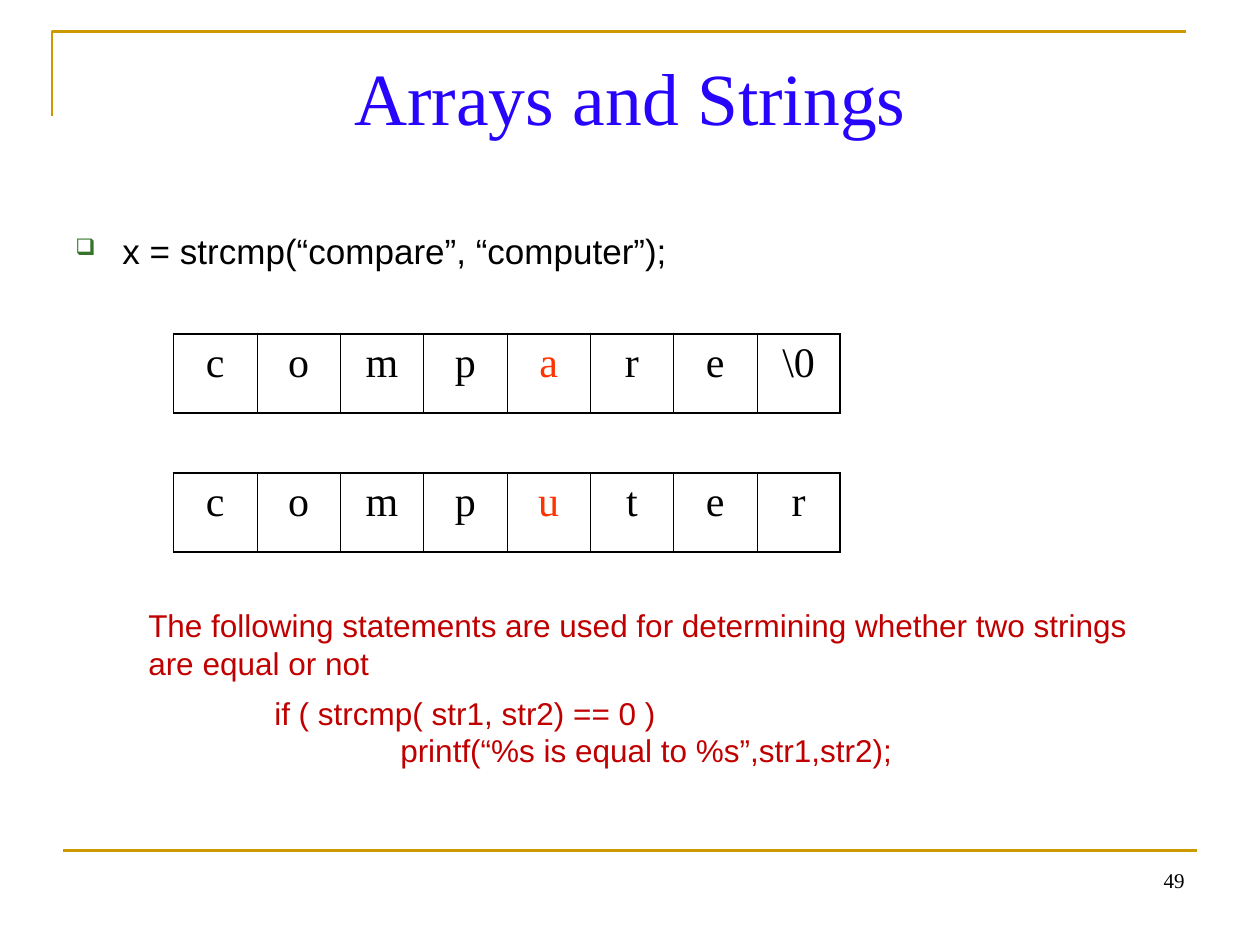
from lxml.etree import SubElement
from pptx import Presentation
from pptx.dml.color import RGBColor
from pptx.enum.shapes import MSO_CONNECTOR
from pptx.enum.text import PP_ALIGN
from pptx.oxml import parse_xml
from pptx.oxml.ns import nsdecls, qn
from pptx.util import Cm, Pt

GOLD, BLACK, RED, BRIGHT_RED = "CC9900", "000000", "C00000", "FF3300"
SERIF, SANS = "Times New Roman", "Arial"
CELL_WIDTH, CELL_HEIGHT = 1.68, 1.6
DIFFERING_CELL = 4
TAB_STEP, TAB_COUNT = 2.54, 8


def color(hex_string):
    return RGBColor.from_string(hex_string)


def set_format(target, values):
    for name, value in values.items():
        setattr(target, name, value)


def format_font(paragraph, name, size, hex_string):
    set_format(paragraph.font, {"name": name, "size": Pt(size)})
    paragraph.font.color.rgb = color(hex_string)


def style_rule(rule):
    rule.line.color.rgb = color(GOLD)
    rule.line.width = Pt(1.5)


def add_corner_rule(slide, left, top, right, bottom):
    builder = slide.shapes.build_freeform(Cm(left), Cm(bottom))
    builder.add_line_segments(
        [(Cm(left), Cm(top)), (Cm(right), Cm(top))], close=False)
    corner = builder.convert_to_shape()
    corner.fill.background()
    corner.shadow.inherit = False
    style_rule(corner)


def add_bottom_rule(slide, left, right, y):
    rule = slide.shapes.add_connector(
        MSO_CONNECTOR.STRAIGHT, Cm(left), Cm(y), Cm(right), Cm(y))
    style_rule(rule)
    SubElement(rule._element.spPr, qn("a:effectLst"))


def add_text(slide, box, lines, font, align=PP_ALIGN.LEFT, gap=0, margin_top=0.13):
    """Add a text box, with gap points between its paragraphs."""
    frame = slide.shapes.add_textbox(*map(Cm, box)).text_frame
    set_format(frame, {"word_wrap": True, "margin_top": Cm(margin_top)})
    for index, line in enumerate(lines):
        paragraph = frame.add_paragraph() if index else frame.paragraphs[0]
        set_format(paragraph, {"text": line, "alignment": align})
        if index:
            paragraph.space_before = Pt(gap)
        if "\t" in line:
            add_tabs(paragraph)
        format_font(paragraph, *font)
    return frame


def add_tabs(paragraph):
    tabs = SubElement(paragraph._p.get_or_add_pPr(), qn("a:tabLst"))
    for step in range(1, TAB_COUNT + 1):
        SubElement(tabs, qn("a:tab"), pos=str(Cm(step * TAB_STEP)), algn="l")


def add_bullet(paragraph, symbol, hex_string, percent, indent):
    properties = paragraph._p.get_or_add_pPr()
    properties.set("marL", str(Cm(indent)))
    properties.set("indent", str(-Cm(indent)))
    bullet_parts = (
        f'<a:buClr {nsdecls("a")}><a:srgbClr val="{hex_string}"/></a:buClr>',
        f'<a:buSzPct {nsdecls("a")} val="{percent * 1000}"/>',
        f'<a:buChar {nsdecls("a")} char="{symbol}"/>',
    )
    for position, part in enumerate(bullet_parts):
        properties.insert(position, parse_xml(part))


def set_borders(cell, widths):
    properties = cell._tc.get_or_add_tcPr()
    for position, (side, width) in enumerate(widths.items()):
        properties.insert(position, parse_xml(
            f'<a:ln{side} {nsdecls("a")} w="{Pt(width)}"><a:solidFill>'
            f'<a:srgbClr val="{BLACK}"/></a:solidFill></a:ln{side}>'))


def add_string_array(slide, left, top, characters):
    """Draw a string as a one-row table with one character per cell."""
    count = len(characters)
    array = slide.shapes.add_table(
        1, count, Cm(left), Cm(top), Cm(CELL_WIDTH * count), Cm(CELL_HEIGHT)).table
    set_format(array, {"first_row": False, "horz_banding": False})
    outer, inner = 1.08, 0.45
    for index, character in enumerate(characters):
        array.columns[index].width = Cm(CELL_WIDTH)
        cell = array.cell(0, index)
        cell.fill.background()
        set_borders(cell, {
            "L": inner if index else outer,
            "R": inner if index < count - 1 else outer,
            "T": outer,
            "B": outer,
        })
        letter = cell.text_frame.paragraphs[0]
        set_format(letter, {"text": character, "alignment": PP_ALIGN.CENTER})
        format_font(letter, SERIF, 24,
                    BRIGHT_RED if index == DIFFERING_CELL else BLACK)


def main():
    presentation = Presentation()
    set_format(presentation, {"slide_width": Cm(25.4), "slide_height": Cm(19.05)})
    slide = presentation.slides.add_slide(presentation.slide_layouts[6])

    add_corner_rule(slide, 1.05, 0.64, 23.91, 2.33)
    add_bottom_rule(slide, 1.27, 24.13, 17.15)
    add_text(slide, (1.27, 0.76, 22.86, 3.18), ["Arrays and Strings"],
             (SERIF, 42, "2704FC"), PP_ALIGN.CENTER, margin_top=0.28)

    call = add_text(slide, (1.27, 4.45, 22.86, 12.57),
                    ["x = strcmp(“compare”, “computer”);"],
                    (SANS, 20, BLACK), margin_top=0.18)
    add_bullet(call.paragraphs[0], "❑", "35742A", 65, 0.95)
    add_text(slide, (18.2, 17.35, 5.93, 1.32), ["49"],
             (SERIF, 12, BLACK), PP_ALIGN.RIGHT)

    add_string_array(slide, 3.5, 6.73, [*"compare", "\\0"])
    add_string_array(slide, 3.5, 9.53, [*"computer"])

    add_text(slide, (2.74, 12.07, 20.32, 3.56), [
        "The following statements are used for determining whether two strings "
        "are equal or not",
        "\tif ( strcmp( str1, str2) == 0 )\n"
        "\t\tprintf(“%s is equal to %s”,str1,str2);",
    ], (SANS, 18, RED), gap=6.8, margin_top=0.15)

    presentation.save("out.pptx")


if __name__ == "__main__":
    main()
